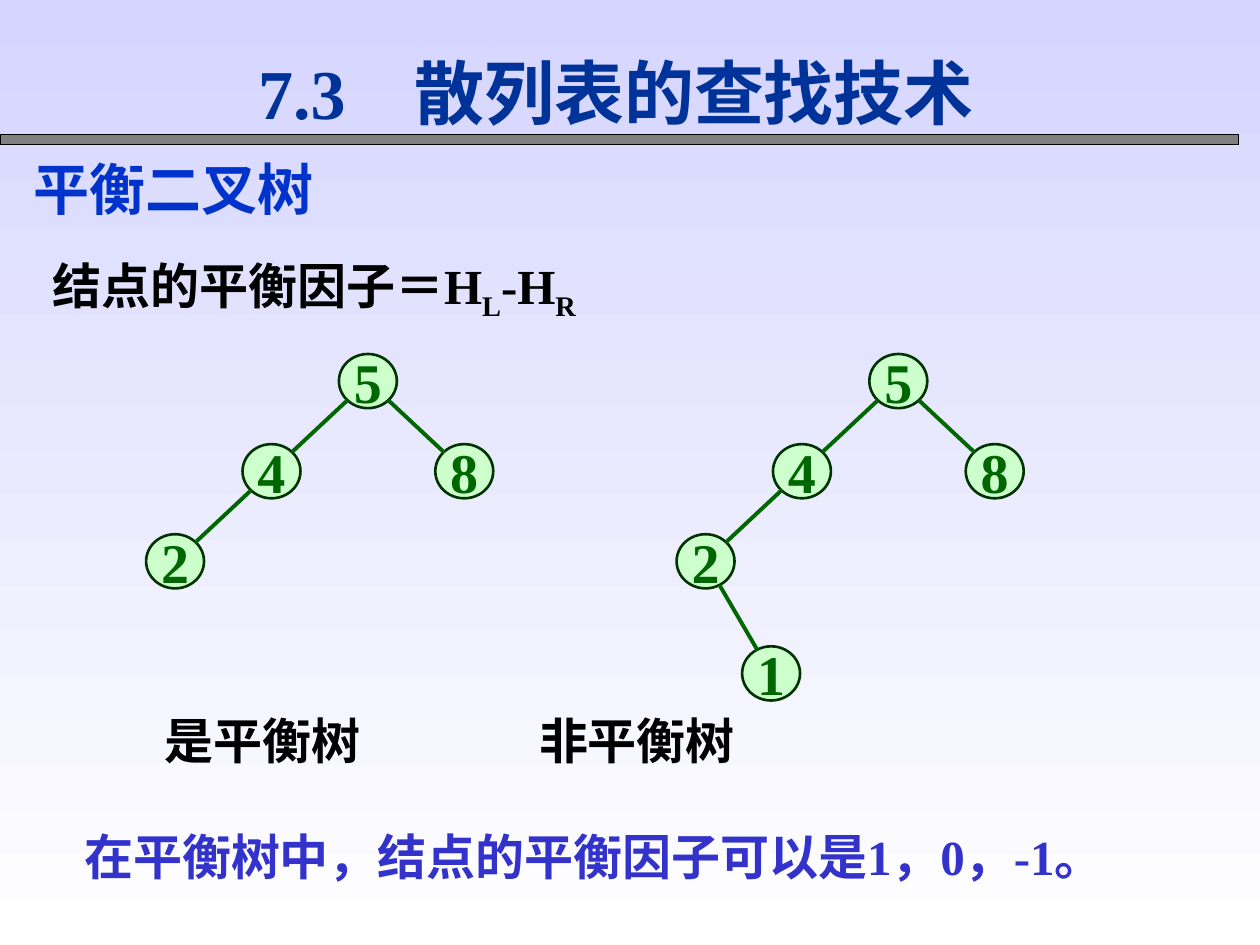
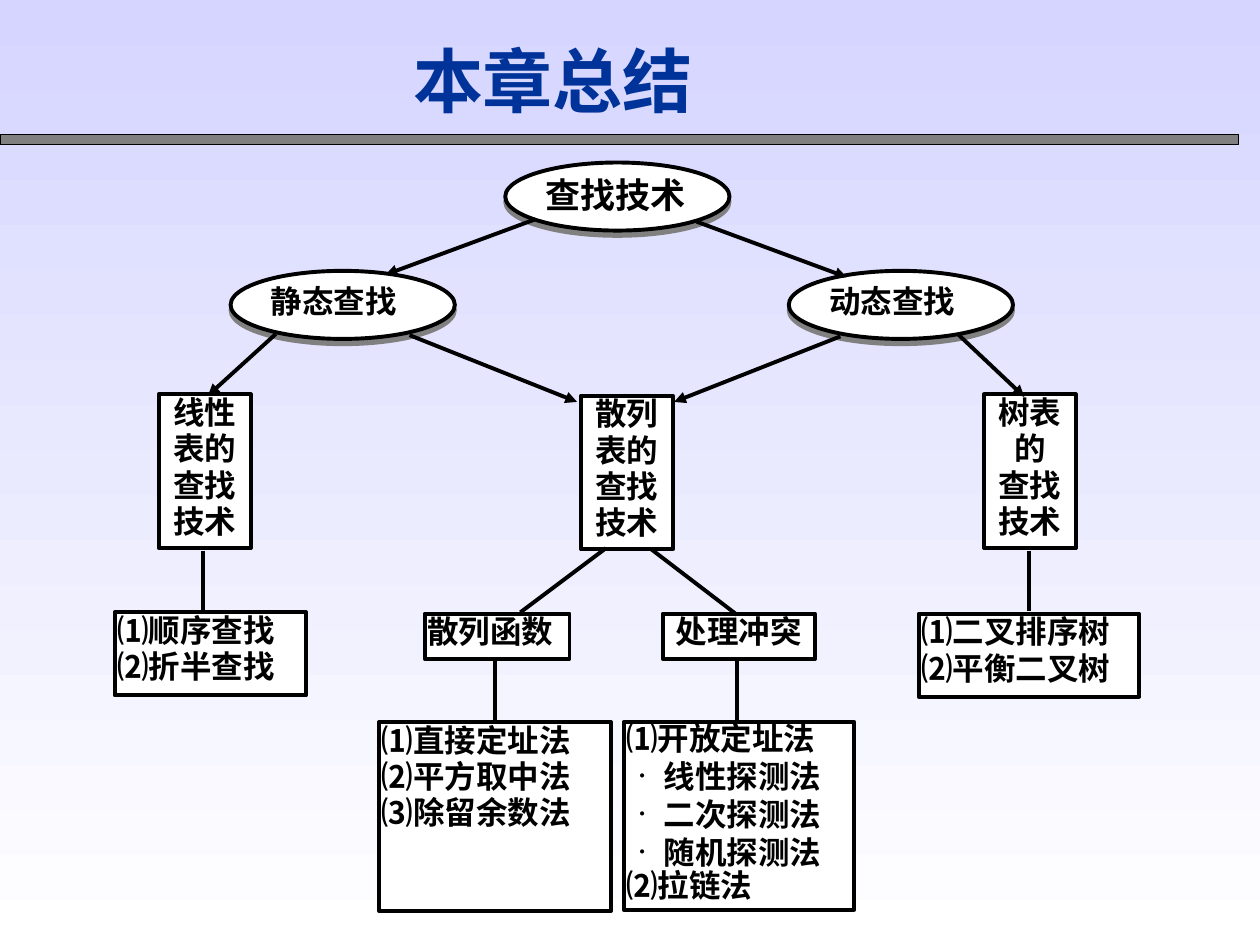
"""Builds two slides on balanced trees and the search chapter summary."""
from dataclasses import dataclass
from math import hypot
from typing import NamedTuple

from lxml import etree
from pptx import Presentation
from pptx.dml.color import RGBColor
from pptx.enum.shapes import MSO_CONNECTOR, MSO_SHAPE
from pptx.enum.text import MSO_ANCHOR, PP_ALIGN
from pptx.oxml.ns import qn
from pptx.util import Inches, Pt

OVAL, RECT = MSO_SHAPE.OVAL, MSO_SHAPE.RECTANGLE
STRAIGHT = MSO_CONNECTOR.STRAIGHT
TOP, MIDDLE = MSO_ANCHOR.TOP, MSO_ANCHOR.MIDDLE
LEFT, CENTER, JUSTIFY = PP_ALIGN.LEFT, PP_ALIGN.CENTER, PP_ALIGN.JUSTIFY

SLIDE_WIDTH, SLIDE_HEIGHT = Inches(10), Inches(7.5)
COLUMN, ROW = SLIDE_WIDTH / 100, SLIDE_HEIGHT / 75


@dataclass(frozen=True)
class Theme:
    """Colours, faces and type sizes of the deck."""
    sky: str = "D5D5FF"
    white: str = "FFFFFF"
    black: str = "000000"
    gray: str = "808080"
    title: str = "003399"
    heading: str = "0033CC"
    remark: str = "3333CC"
    leaf: str = "CCFFCC"
    bark: str = "003300"
    branch: str = "006600"
    serif: str = "Times New Roman"
    sans: str = "Arial"
    chinese: str = "Noto Sans CJK SC"
    title_size: int = 40
    heading_size: int = 32
    body_size: int = 28
    root_size: int = 20
    topic_size: int = 18


THEME = Theme()


class Area(NamedTuple):
    """Left, top, width and height in grid cells."""
    left: float
    top: float
    width: float
    height: float


class Piece(NamedTuple):
    """A stretch of text with its own face or baseline."""
    text: str
    face: str = ""
    subscript: bool = False


@dataclass(frozen=True)
class Style:
    """Look of the paragraphs in one frame."""
    size: int = THEME.topic_size
    color: str = THEME.black
    face: str = THEME.serif
    align: PP_ALIGN = LEFT
    spacing: float = 1.0
    tab: float = 0
    shadow: bool = False


@dataclass(frozen=True)
class Topic:
    """A box of the chapter map; lines starting with a dot are bullets."""
    area: Area
    lines: tuple
    style: Style
    outline: MSO_SHAPE = RECT


class Link(NamedTuple):
    """A line between two grid points."""
    start: tuple
    end: tuple
    arrow: bool = False


class Node(NamedTuple):
    """A tree node: key, column and row of its centre, index of its parent."""
    key: str
    x: float
    y: float
    parent: int = -1


def rgb(color: str) -> RGBColor:
    return RGBColor.from_string(color)


def child(parent, tag: str, **attributes: str):
    """Append a DrawingML element."""
    return etree.SubElement(parent, qn(tag), attributes)


def add_shadow(effects, distance: int, angle: int) -> None:
    """Put a gray drop shadow in an effect list."""
    shadow = child(effects, "a:outerShdw", dist=str(Pt(distance)), dir=str(angle * 60000))
    child(shadow, "a:srgbClr", val=THEME.gray)


def place(area: Area) -> list:
    return [round(area.left * COLUMN), round(area.top * ROW),
            round(area.width * COLUMN), round(area.height * ROW)]


def write(frame, lines: tuple, style: Style) -> None:
    """Fill a frame; a line is a string or a tuple of pieces."""
    for index, line in enumerate(lines):
        paragraph = frame.paragraphs[0] if index == 0 else frame.add_paragraph()
        pieces = (Piece(line),) if isinstance(line, str) else line
        bulleted = pieces[0].text.startswith("·")
        paragraph.alignment = style.align
        paragraph.line_spacing = 1.0 if bulleted else style.spacing
        properties = paragraph._p.get_or_add_pPr()
        if bulleted:
            properties.set("marL", str(Inches(0.3)))
            properties.set("indent", str(-Inches(0.22)))
            child(properties, "a:buSzPct", val="111000")
            child(properties, "a:buFont", typeface=THEME.serif)
            child(properties, "a:buChar", char="·")
        if style.tab:
            stops = child(properties, "a:tabLst")
            child(stops, "a:tab", pos=str(Inches(style.tab)), algn="l")
        font = paragraph.font
        font.size, font.bold, font.name = Pt(style.size), True, style.face
        font.color.rgb = rgb(style.color)
        child(properties.find(qn("a:defRPr")), "a:ea", typeface=THEME.chinese)
        for piece in pieces:
            run = paragraph.add_run()
            run.text = piece.text.lstrip("·")
            if piece.subscript:
                run._r.get_or_add_rPr().set("baseline", "-25000")
            if style.shadow:
                add_shadow(child(run._r.get_or_add_rPr(), "a:effectLst"), 2, 45)
            if piece.face:
                run.font.name = piece.face


def add_label(slide, area: Area, line, style: Style, anchor: MSO_ANCHOR = TOP) -> None:
    frame = slide.shapes.add_textbox(*place(area)).text_frame
    frame.word_wrap, frame.vertical_anchor = True, anchor
    write(frame, (line,), style)


def add_block(slide, outline: MSO_SHAPE, area: Area, fill: str, line: str, weight: float):
    shape = slide.shapes.add_shape(outline, *place(area))
    shape.shadow.inherit = False
    shape.fill.solid()
    shape.fill.fore_color.rgb = rgb(fill)
    shape.line.color.rgb = rgb(line)
    shape.line.width = Pt(weight)
    return shape


def add_link(slide, link: Link, color: str) -> None:
    ends = [round(value * unit) for point in (link.start, link.end)
            for value, unit in zip(point, (COLUMN, ROW))]
    connector = slide.shapes.add_connector(STRAIGHT, *ends)
    connector.line.color.rgb = rgb(color)
    connector.line.width = Pt(2.25)
    if link.arrow:
        child(connector.line._get_or_add_ln(), "a:tailEnd", type="triangle")
    child(connector._element.spPr, "a:effectLst")


def add_topic(slide, topic: Topic) -> None:
    shape = add_block(slide, topic.outline, topic.area, THEME.white, THEME.black, 2.25)
    oval = topic.outline == OVAL
    if oval:
        add_shadow(shape._element.spPr.find(qn("a:effectLst")), 3, 90)
    frame = shape.text_frame
    frame.word_wrap, frame.vertical_anchor = True, TOP
    frame.margin_left = frame.margin_right = Inches(0.06 if oval else 0.02)
    frame.margin_top = frame.margin_bottom = Inches(0.01)
    write(frame, topic.lines, topic.style)


NODE_WIDTH, NODE_HEIGHT = 4.6, 4.3
STEP_X, STEP_Y = 7.65, 7.15
NODE_STYLE = Style(THEME.heading_size, THEME.branch, align=CENTER)


def edge(parent: Node, leaf: Node) -> Link:
    """Join two nodes, stopping at their outlines."""
    dx, dy = leaf.x - parent.x, leaf.y - parent.y
    share = 1 / hypot(dx / (NODE_WIDTH / 2), dy / (NODE_HEIGHT / 2))
    return Link((parent.x + dx * share, parent.y + dy * share),
                (leaf.x - dx * share, leaf.y - dy * share))


def add_tree(slide, nodes: list) -> None:
    for node in nodes:
        area = Area(node.x - NODE_WIDTH / 2, node.y - NODE_HEIGHT / 2, NODE_WIDTH, NODE_HEIGHT)
        shape = add_block(slide, OVAL, area, THEME.leaf, THEME.bark, 1.5)
        shape.text_frame.word_wrap = False
        shape.text_frame.vertical_anchor = MIDDLE
        write(shape.text_frame, (node.key,), NODE_STYLE)
        if node.parent >= 0:
            add_link(slide, edge(nodes[node.parent], node), THEME.branch)


def tree_nodes(x: float, y: float) -> list:
    return [Node("5", x, y), Node("4", x - STEP_X, y + STEP_Y, 0),
            Node("8", x + STEP_X, y + STEP_Y, 0),
            Node("2", x - 2 * STEP_X, y + 2 * STEP_Y, 1)]


def new_slide(deck, title: str, area: Area):
    """Add a blank slide with the band and its title."""
    slide = deck.slides.add_slide(deck.slide_layouts[6])
    add_block(slide, RECT, Area(0, 10.7, 98.3, 0.8), THEME.gray, THEME.black, 0.75)
    add_label(slide, area, title, Style(THEME.title_size, THEME.title, tab=1.24), MIDDLE)
    return slide


def build_balanced_trees(deck) -> None:
    slide = new_slide(deck, "7.3\t散列表的查找技术", Area(19.5, 3.5, 60.1, 7.5))
    balanced, unbalanced = tree_nodes(29.2, 30.25), tree_nodes(71.3, 30.25)
    lowest = unbalanced[-1]
    unbalanced.append(Node("1", lowest.x + 5.2, lowest.y + 8.9, 3))
    add_tree(slide, balanced)
    add_tree(slide, unbalanced)
    body = Style(THEME.body_size)
    caption = Style(THEME.body_size, face=THEME.chinese)
    for left, verdict in ((12.1, "是平衡树"), (41.8, "非平衡树")):
        add_label(slide, Area(left, 55.9, 29, 5.7), verdict, caption)
    add_label(slide, Area(1.7, 11.8, 70, 6.4), "平衡二叉树",
              Style(THEME.heading_size, THEME.heading, THEME.chinese, shadow=True))
    add_label(slide, Area(5.7, 65.1, 89.1, 5.7),
              (Piece("在平衡树中，结点的平衡因子可以是", THEME.sans), Piece("1，0，-1"),
               Piece("。", THEME.sans)), Style(THEME.body_size, THEME.remark))
    add_label(slide, Area(3.2, 19.8, 46.2, 6.3),
              (Piece("结点的平衡因子＝", THEME.sans), Piece("H"), Piece("L", subscript=True),
               Piece("-H"), Piece("R", subscript=True)), body)


ROOT = Style(THEME.root_size, align=JUSTIFY)
BRANCH = Style(align=JUSTIFY)
CENTERED = Style(align=CENTER, spacing=0.96)
LISTED = Style(align=JUSTIFY, spacing=0.96)
DENSE = Style(align=JUSTIFY, spacing=0.9)

TOPICS = (
    Topic(Area(40.1, 12.9, 17.8, 5.4), ("查找技术",), ROOT, OVAL),
    Topic(Area(18.3, 21.5, 17.8, 5.4), ("静态查找",), BRANCH, OVAL),
    Topic(Area(62.6, 21.5, 17.8, 5.4), ("动态查找",), BRANCH, OVAL),
    Topic(Area(12.6, 31.3, 7.3, 12.2), ("线性表的查找技术",), CENTERED),
    Topic(Area(78.1, 31.3, 7.3, 12.2), ("树表的", "查找技术"), CENTERED),
    Topic(Area(46.1, 31.4, 7.3, 12.2), ("散列表的查找技术",), CENTERED),
    Topic(Area(9.1, 48.6, 15.2, 6.6), ("⑴顺序查找", "⑵折半查找"), LISTED),
    Topic(Area(72.9, 48.7, 17.5, 6.6), ("⑴二叉排序树", "⑵平衡二叉树"), LISTED),
    Topic(Area(33.7, 48.7, 11.5, 3.6), ("散列函数",), LISTED),
    Topic(Area(52.6, 48.7, 12.1, 3.6), ("处理冲突",), CENTERED),
    Topic(Area(49.5, 57.3, 18.3, 14.9),
          ("⑴开放定址法", "·线性探测法", "·二次探测法", "·随机探测法", "⑵拉链法"), DENSE),
    Topic(Area(30.1, 57.3, 18.4, 15), ("⑴直接定址法", "⑵平方取中法", "⑶除留余数法"), LISTED),
)

LINKS = (
    Link((42.5, 17.4), (30.6, 21.8), True), Link((55.3, 17.6), (67.2, 22), True),
    Link((21.9, 26.5), (16.5, 31.4), True), Link((32.5, 26.6), (45.8, 31.9), True),
    Link((76, 26.5), (81.3, 31.5), True), Link((66.7, 26.7), (53.5, 31.9), True),
    Link((48.1, 43.5), (41.3, 48.6)), Link((51.7, 43.6), (58.5, 48.8)),
    Link((16.1, 43.7), (16.1, 48.5)), Link((81.7, 43.7), (81.7, 48.5)),
    Link((39.3, 52.3), (39.3, 57.2)), Link((58.5, 52.3), (58.5, 57.2)),
)


def build_summary(deck) -> None:
    slide = new_slide(deck, "本章总结", Area(31.8, 2.6, 33.9, 7.5))
    for topic in TOPICS:
        add_topic(slide, topic)
    for link in LINKS:
        add_link(slide, link, THEME.black)


def main() -> None:
    deck = Presentation()
    deck.slide_width, deck.slide_height = SLIDE_WIDTH, SLIDE_HEIGHT
    backdrop = deck.slide_master.background.fill
    backdrop.gradient()
    backdrop.gradient_angle = 270
    for stop, color in zip(backdrop.gradient_stops, (THEME.sky, THEME.white)):
        stop.color.rgb = rgb(color)
    build_balanced_trees(deck)
    build_summary(deck)
    deck.save("out.pptx")


if __name__ == "__main__":
    main()
